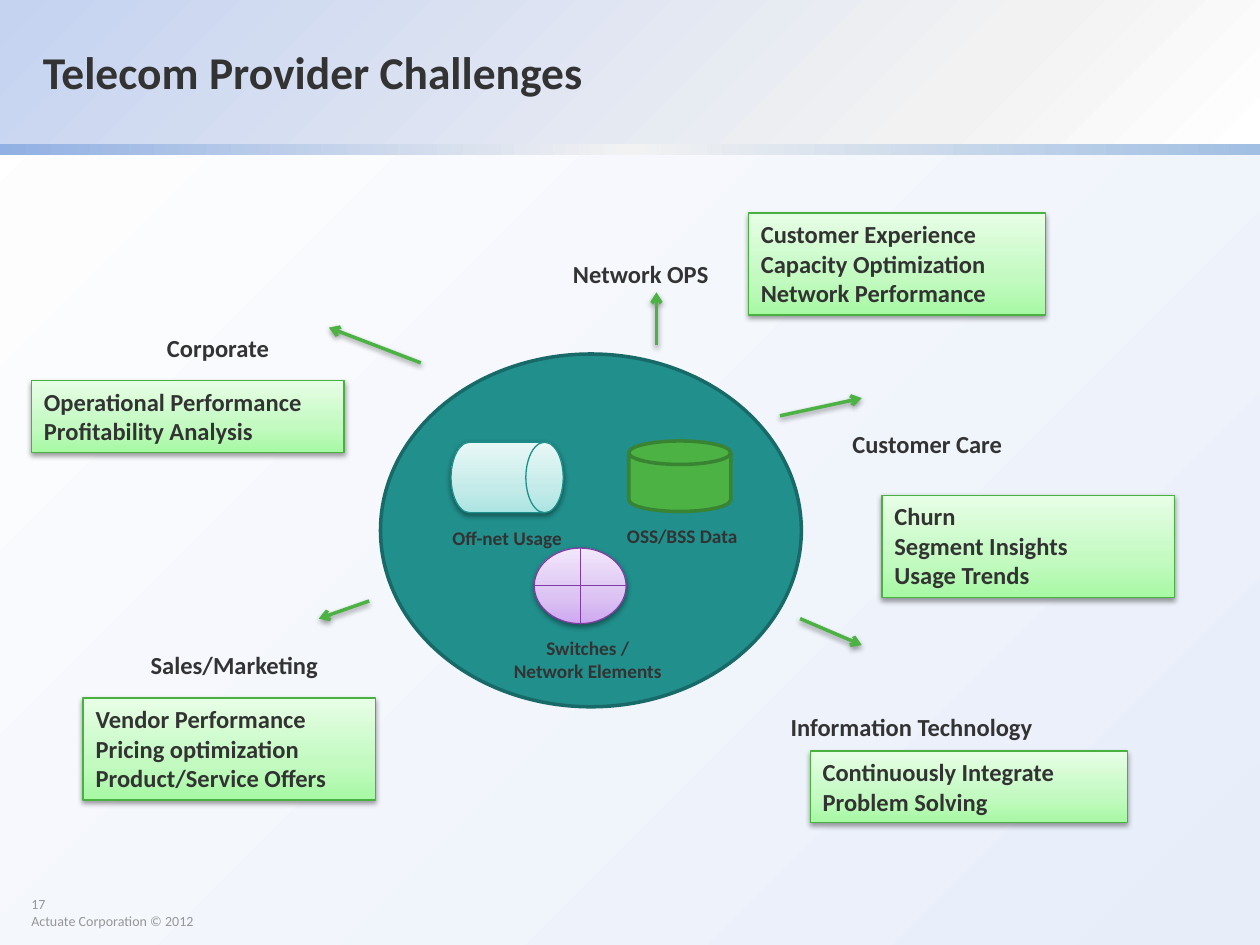
"""Build the telecom provider challenges slide."""
from lxml.etree import SubElement
from pptx import Presentation
from pptx.dml.color import RGBColor
from pptx.enum.shapes import MSO_CONNECTOR, MSO_SHAPE
from pptx.enum.text import MSO_ANCHOR, MSO_AUTO_SIZE, PP_ALIGN
from pptx.oxml.ns import qn
from pptx.util import Inches, Pt

COLORS = {
    "text": "333333", "footer": "969696", "shadow": "000000",
    "hub": "218F8C", "hub_edge": "186A68", "drum_edge": "1E8F8B",
    "switch_edge": "7F3DA4", "green": "4CB244", "green_edge": "388432",
    "box_edge": "48B140",
}
GRADIENTS = {
    "background": (315, [(0, "FFFFFF"), (100, "E7EDF9")]),
    "header": (315, [(0, "C5D3F1"), (75, "F2F2F2"), (100, "FFFFFF")]),
    "stripe": (0, [(0, "91B0E3"), (50, "F2F2F2"), (100, "A1BFE3")]),
    "switch": (90, [(0, "CEA8F0"), (35, "DCC3F3"), (100, "F2E7FB")]),
    "drum": (90, [(0, "AAE4E2"), (35, "C4EBE9"), (100, "E8F8F7")]),
    "box": (90, [(0, "A7F9A4"), (35, "C2FAC0"), (100, "E7FEE6")]),
}
SOURCES = [
    (3.97, 5, 1.39, 0.47, ["Switches /", "Network Elements"]),
    (3.48, 4.13, 1.09, 0.29, ["Off-net Usage"]),
    (4.87, 4.11, 1.09, 0.29, ["OSS/BSS Data"]),
]
DEPARTMENTS = [
    (1.22, 2.59, 1.02, "Corporate"),
    (1.09, 5.11, 1.54, "Sales/Marketing"),
    (4.44, 2.01, 1.29, "Network OPS"),
    (6.66, 3.36, 1.4, "Customer Care"),
    (6.17, 5.6, 2.13, "Information Technology"),
]
CHALLENGES = [
    (0.66, 5.54, 2.32, ["Vendor Performance", "Pricing optimization", "Product/Service Offers"]),
    (0.25, 3.02, 2.48, ["Operational Performance", "Profitability Analysis"]),
    (5.94, 1.69, 2.36, ["Customer Experience", "Capacity Optimization", "Network Performance"]),
    (7, 3.93, 2.32, ["Churn", "Segment Insights", "Usage Trends"]),
    (6.43, 5.96, 2.52, ["Continuously Integrate", "Problem Solving"]),
]
ARROWS = [
    (3.34, 2.88, 2.61, 2.6), (5.21, 2.74, 5.21, 2.32), (2.93, 4.77, 2.53, 4.91),
    (6.35, 4.91, 6.84, 5.12), (6.19, 3.3, 6.84, 3.16),
]


class SlideBuilder:
    def __init__(self, slide, font="Calibri"):
        self.slide = slide
        self.font = font

    def color(self, name):
        return RGBColor.from_string(COLORS[name])

    def gradient(self, fill, holder, name):
        angle, stops = GRADIENTS[name]
        fill.gradient()
        fill.gradient_angle = angle
        stop_list = holder.find(qn("a:gradFill")).find(qn("a:gsLst"))
        for stop in list(stop_list):
            stop_list.remove(stop)
        for position, value in stops:
            stop = SubElement(stop_list, qn("a:gs"), pos=str(position * 1000))
            SubElement(stop, qn("a:srgbClr"), val=value)

    def background(self, name):
        fill = self.slide.background.fill
        fill.solid()
        holder = self.slide.element.find(".//" + qn("p:bgPr"))
        self.gradient(fill, holder, name)

    def shadow(self, effects):
        outer = SubElement(effects, qn("a:outerShdw"), blurRad="40000",
                           dist="20000", dir="5400000", rotWithShape="0")
        tint = SubElement(outer, qn("a:srgbClr"), val=COLORS["shadow"])
        SubElement(tint, qn("a:alpha"), val="38000")

    def add_lines(self, frame, lines, size, color="text", bold=True, align=PP_ALIGN.LEFT):
        for index, line in enumerate(lines):
            paragraph = frame.add_paragraph() if index else frame.paragraphs[0]
            paragraph.alignment = align
            for part, words in enumerate(line.split("\n")):
                if part:
                    paragraph.add_line_break()
                run = paragraph.add_run()
                run.text = words
                run.font.name = self.font
                run.font.size = Pt(size)
                run.font.bold = bold
                run.font.color.rgb = self.color(color)

    def shape(self, kind, place, fill, edge=None, width=0.75, shadow=False):
        shape = self.slide.shapes.add_shape(kind, *map(Inches, place))
        shape.shadow.inherit = False
        if fill in GRADIENTS:
            self.gradient(shape.fill, shape.element.spPr, fill)
        else:
            shape.fill.solid()
            shape.fill.fore_color.rgb = self.color(fill)
        if edge:
            shape.line.color.rgb = self.color(edge)
            shape.line.width = Pt(width)
        else:
            shape.line.fill.background()
        if shadow:
            self.shadow(shape.element.spPr.find(qn("a:effectLst")))
        return shape

    def challenge(self, left, top, width, lines):
        height = 0.57 if len(lines) == 2 else 0.81
        box = self.shape(MSO_SHAPE.RECTANGLE, (left, top, width, height),
                         "box", "box_edge", shadow=True)
        frame = box.text_frame
        frame.word_wrap = True
        frame.auto_size = MSO_AUTO_SIZE.SHAPE_TO_FIT_TEXT
        frame.vertical_anchor = MSO_ANCHOR.TOP
        self.add_lines(frame, lines, 14)

    def label(self, place, lines, size):
        frame = self.slide.shapes.add_textbox(*map(Inches, place)).text_frame
        frame.word_wrap = False
        frame.auto_size = MSO_AUTO_SIZE.SHAPE_TO_FIT_TEXT
        self.add_lines(frame, lines, size, align=PP_ALIGN.CENTER)

    def footer(self, place, line):
        frame = self.slide.shapes.add_textbox(*map(Inches, place)).text_frame
        frame.word_wrap = True
        self.add_lines(frame, [line], 8, "footer", bold=False)

    def title(self, place, line):
        title = self.slide.shapes.title
        title.left, title.top, title.width, title.height = map(Inches, place)
        frame = title.text_frame
        frame.auto_size = MSO_AUTO_SIZE.NONE
        frame.word_wrap = True
        frame.vertical_anchor = MSO_ANCHOR.MIDDLE
        frame.margin_left = frame.margin_right = 0
        self.add_lines(frame, [line], 26)
        frame.paragraphs[0].line_spacing = 0.9
        self.slide.shapes.element.append(title.element)

    def arrow(self, *ends):
        arrow = self.slide.shapes.add_connector(MSO_CONNECTOR.STRAIGHT, *map(Inches, ends))
        arrow.line.color.rgb = self.color("green")
        arrow.line.width = Pt(2)
        properties = arrow.element.spPr
        SubElement(properties.find(qn("a:ln")), qn("a:tailEnd"), type="arrow")
        self.shadow(SubElement(properties, qn("a:effectLst")))


def main():
    deck = Presentation()
    deck.slide_width, deck.slide_height = Inches(10), Inches(7.5)
    builder = SlideBuilder(deck.slides.add_slide(deck.slide_layouts[5]))
    builder.background("background")
    builder.shape(MSO_SHAPE.RECTANGLE, (0, 0, 10, 1.17), "header")
    builder.footer((0.15, 7.06, 1.94, 0.31), "17\nActuate Corporation © 2012")
    builder.shape(MSO_SHAPE.RECTANGLE, (0, 1.14, 10, 0.09), "stripe")
    builder.title((0.34, 0.04, 7.71, 1.1), "Telecom Provider Challenges")

    builder.shape(MSO_SHAPE.OVAL, (3.02, 2.81, 3.34, 2.8), "hub", "hub_edge", 2)
    builder.shape(MSO_SHAPE.FLOWCHART_OR, (4.24, 4.35, 0.73, 0.6),
                  "switch", "switch_edge", shadow=True)
    builder.shape(MSO_SHAPE.FLOWCHART_DIRECT_ACCESS_STORAGE, (3.58, 3.51, 0.89, 0.56),
                  "drum", "drum_edge", shadow=True)
    builder.shape(MSO_SHAPE.FLOWCHART_MAGNETIC_DISK, (4.99, 3.5, 0.81, 0.56),
                  "green", "green_edge", 2)
    for *place, lines in SOURCES:
        builder.label(place, lines, 11)
    for left, top, width, name in DEPARTMENTS:
        builder.label((left, top, width, 0.34), [name], 14)
    for challenge in CHALLENGES:
        builder.challenge(*challenge)
    for ends in ARROWS:
        builder.arrow(*ends)
    deck.save("out.pptx")


if __name__ == "__main__":
    main()
